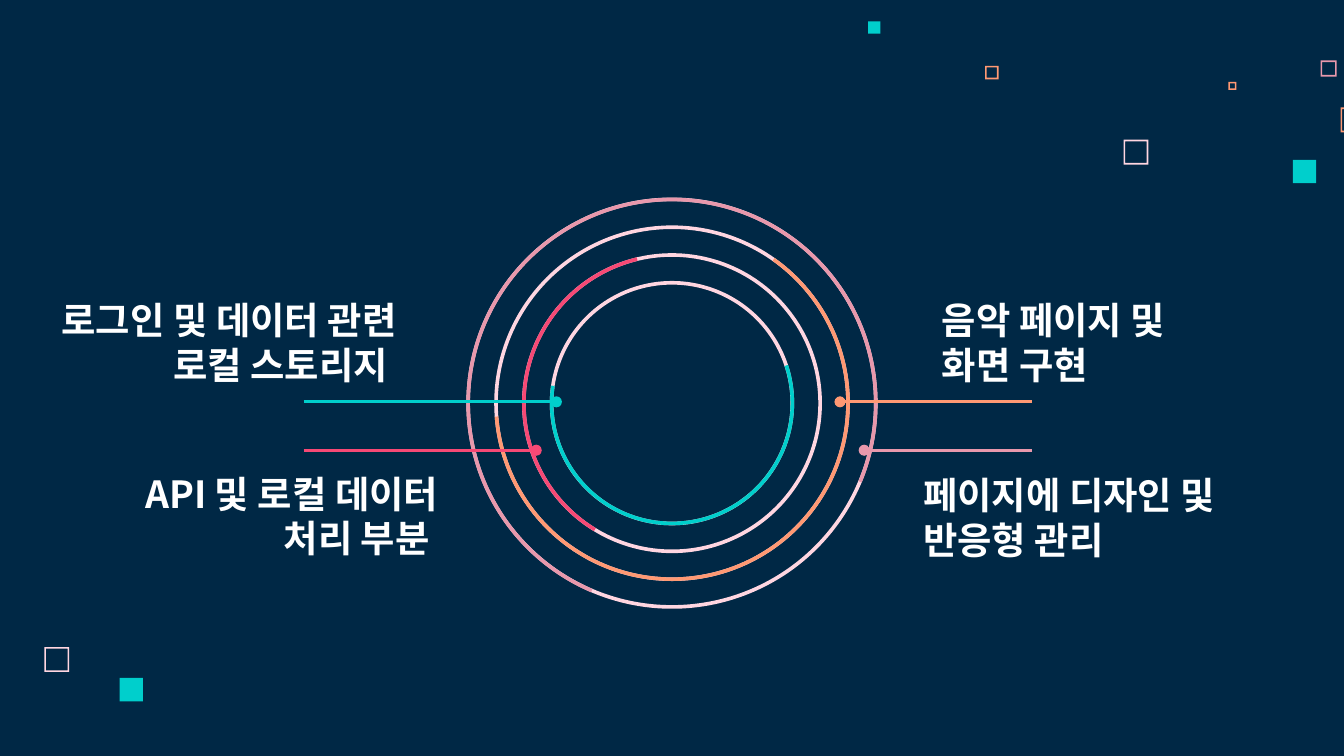
from lxml import etree
from pptx import Presentation
from pptx.dml.color import RGBColor
from pptx.enum.shapes import MSO_CONNECTOR, MSO_SHAPE
from pptx.enum.text import MSO_ANCHOR, PP_ALIGN
from pptx.oxml.ns import qn
from pptx.util import Inches, Pt

LEFT, RIGHT = PP_ALIGN.LEFT, PP_ALIGN.RIGHT
TOP, BOTTOM = MSO_ANCHOR.TOP, MSO_ANCHOR.BOTTOM
DONUT, ARC = MSO_SHAPE.DONUT, MSO_SHAPE.BLOCK_ARC
FRAME, SQUARE = MSO_SHAPE.FRAME, MSO_SHAPE.RECTANGLE
STRAIGHT = MSO_CONNECTOR.STRAIGHT

FONT = "Noto Sans CJK KR"
COLORS = {
    "navy": "002845", "white": "FFFFFF", "blush": "FFD6E1", "rose": "E898AC",
    "orange": "FF9973", "pink": "F64975", "teal": "00CFCC",
}
# The 16:9 slide is a grid of square cells.
COLUMNS, ROWS = 100, 56.25
CELL = Inches(0.1)


def cells(*counts):
    return [round(count * CELL) for count in counts]


def color(name):
    return RGBColor.from_string(COLORS[name])


def add_filled(slide, kind, box, fill, adjustments=(), rotation=0):
    shape = slide.shapes.add_shape(kind, *cells(*box))
    shape.shadow.inherit = False
    shape.fill.solid()
    shape.fill.fore_color.rgb = color(fill)
    shape.line.fill.background()
    shape.rotation = rotation
    for index, value in enumerate(adjustments):
        shape.adjustments[index] = value


def add_confetti(slide, box, squares):
    """Scatter squares given as left, top, size, colour and hollow or not."""
    left, top, _, _ = box
    for column, row, size, fill, hollow in squares:
        place = (left + column, top + row, size, size)
        if hollow:
            add_filled(slide, FRAME, place, fill, [0.12 / size])
        else:
            add_filled(slide, SQUARE, place, fill)


def add_rings(slide, box, arcs):
    """Nest evenly spaced rings in the box, each overlaid with a coloured arc."""
    left, top, width, _ = box
    step, thickness = 2.07, 0.27
    places = []
    for index in range(len(arcs)):
        inset, size = index * step, width - 2 * index * step
        places.append((left + inset, top + inset, size, size))
    for place in places:
        add_filled(slide, DONUT, place, "blush", [thickness / place[2]])
    for place, (fill, start, end, rotation) in zip(places, arcs):
        add_filled(slide, ARC, place, fill,
                   [start, end, thickness / place[2]], rotation)


def add_pointer(slide, start, end, row, stroke):
    """Draw a line to a ring, ending in a dot."""
    connector = slide.shapes.add_connector(STRAIGHT, *cells(start, row, end, row))
    connector.line.color.rgb = color(stroke)
    connector.line.width = Pt(1.5)
    line = connector.line._get_or_add_ln()
    etree.SubElement(line, qn("a:tailEnd"), type="oval")
    etree.SubElement(connector._element.spPr, qn("a:effectLst"))


def add_label(slide, box, text, align=LEFT, anchor=TOP, size=20, fill="white"):
    frame = slide.shapes.add_textbox(*cells(*box)).text_frame
    frame.word_wrap = True
    frame.vertical_anchor = anchor
    frame.margin_left = frame.margin_right = CELL
    frame.margin_top = frame.margin_bottom = CELL
    paragraph = frame.paragraphs[0]
    paragraph.text = text
    paragraph.alignment = align
    for run in paragraph.runs:
        run.font.size = Pt(size)
        run.font.bold = True
        run.font.name = FONT
        run.font.color.rgb = color(fill)
        etree.SubElement(run.font._element, qn("a:ea"), typeface=FONT)


def add_diagram(slide, box):
    """Place the rings in the middle of the box, with pointers and labels around."""
    left, top, width, _ = box
    diameter = 30.6
    add_rings(slide, (left + (width - diameter) / 2, top, diameter, diameter), [
        ("rose", 157.91, 103.6, 210),
        ("orange", 183.14, 105.39, 0),
        ("pink", 24.12, 105.1, 81.2),
        ("teal", 197.21, 105.1, 13.1),
    ])
    upper, lower = top + 15.2, top + 18.8
    outer_left, outer_right = left + 22.6, left + 76.8
    for start, end, row, stroke in [
        (outer_left, left + 41.4, upper, "teal"),
        (outer_left, left + 39.9, lower, "pink"),
        (outer_right, left + 62.5, upper, "orange"),
        (outer_right, left + 64.3, lower, "rose"),
    ]:
        add_pointer(slide, start, end, row, stroke)
    for column, row, label_width, text, align, anchor in [
        (1.5, 6.4, 29, "로그인 및 데이터 관련 로컬 스토리지 ", RIGHT, TOP),
        (69.1, 6.4, 22.4, "음악 페이지 및 화면 구현", LEFT, TOP),
        (0, 20.9, 33.6, "API 및 로컬 데이터\n처리 부분 ", RIGHT, BOTTOM),
        (67.7, 21, 31.2, "페이지에 디자인 및 반응형 관리", LEFT, BOTTOM),
    ]:
        add_label(slide, (left + column, top + row, label_width, 7.1),
                  text, align, anchor)


def main():
    presentation = Presentation()
    presentation.slide_width, presentation.slide_height = cells(COLUMNS, ROWS)
    slide = presentation.slides.add_slide(presentation.slide_layouts[6])
    slide.background.fill.solid()
    slide.background.fill.fore_color.rgb = color("navy")

    add_confetti(slide, (64, 0, 36, 14), [
        (19.6, 10.4, 1.85, "blush", True),
        (34.25, 4.5, 1.2, "rose", True),
        (27.4, 6.1, 0.6, "orange", True),
        (35.75, 8, 1.85, "orange", True),
        (32.2, 11.9, 1.74, "teal", False),
        (9.3, 4.9, 1, "orange", True),
        (0.6, 1.6, 0.9, "teal", False),
    ])
    add_confetti(slide, (3, 48, 8, 5), [
        (0.3, 0.15, 1.85, "blush", True),
        (5.9, 2.45, 1.74, "teal", False),
    ])
    add_diagram(slide, (0, 14.7, COLUMNS, 30.6))
    presentation.save("out.pptx")


if __name__ == "__main__":
    main()
